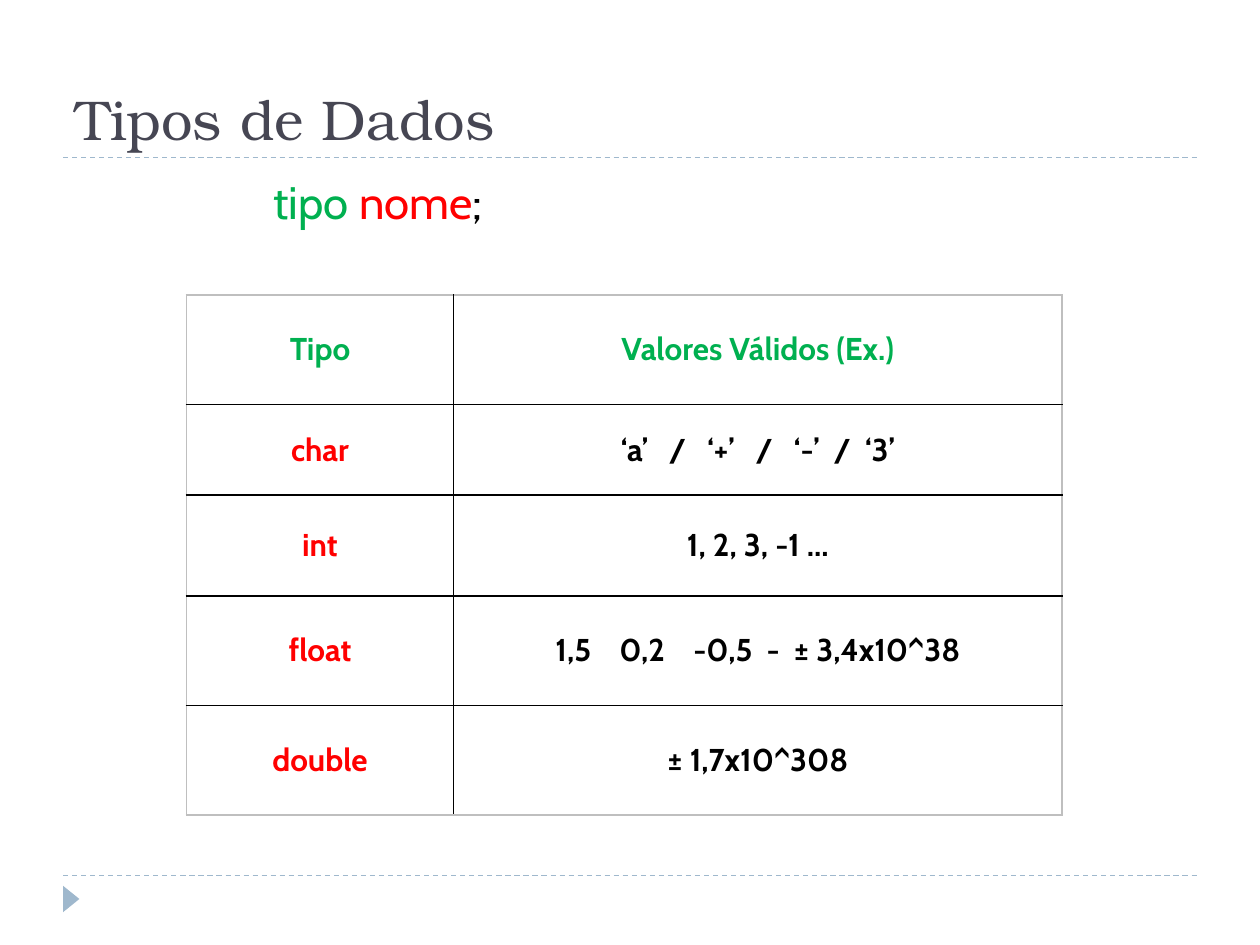
from dataclasses import dataclass

from lxml import etree
from pptx import Presentation
from pptx.dml.color import RGBColor
from pptx.enum.dml import MSO_LINE
from pptx.enum.shapes import MSO_CONNECTOR, MSO_SHAPE
from pptx.enum.text import MSO_ANCHOR, PP_ALIGN
from pptx.oxml.ns import qn
from pptx.util import Inches, Pt

STRAIGHT = MSO_CONNECTOR.STRAIGHT
TRIANGLE = MSO_SHAPE.ISOSCELES_TRIANGLE
DASH = MSO_LINE.DASH
TOP, MIDDLE, BOTTOM = MSO_ANCHOR.TOP, MSO_ANCHOR.MIDDLE, MSO_ANCHOR.BOTTOM
CENTER = PP_ALIGN.CENTER


@dataclass(frozen=True)
class Theme:
    serif: str = "TeX Gyre Bonum"
    sans: str = "Cabin"
    title: str = "464653"
    accent: str = "9FB8CD"
    green: str = "00B050"
    red: str = "FF0000"
    black: str = "000000"
    edge: str = "BFBFBF"
    big: int = 32
    body: int = 26
    cell: int = 18


@dataclass(frozen=True)
class Part:
    text: str
    color: str
    gap: int = 0  # extra points of tracking, widens a lone space


@dataclass(frozen=True)
class Row:
    height: float
    label: Part
    value: list[Part]


THEME = Theme()
COLS = (2.12, 4.83)


def spread(*items: str | int) -> list[Part]:
    """Black text; a number is a space widened by that many points."""
    return [Part(" ", THEME.black, item) if isinstance(item, int)
            else Part(item, THEME.black) for item in items]


ROWS = [
    Row(0.87, Part("Tipo", THEME.green),
        [Part("Valores Válidos (Ex.)", THEME.green)]),
    Row(0.72, Part("char", THEME.red),
        spread("‘a’", 8, "/", 8, "‘+’", 8, "/", 8, "‘-’", 4, "/", 4, "‘3’")),
    Row(0.8, Part("int", THEME.red), spread("1, 2, 3, -1 ...")),
    Row(0.87, Part("float", THEME.red),
        spread("1,5", 12, "0,2", 12, "-0,5", 4, "-", 4, "± 3,4x10^38")),
    Row(0.87, Part("double", THEME.red), spread("± 1,7x10^308")),
]


def write(frame, parts: list[Part], face: str, size: int,
          bold: bool = False) -> None:
    para = frame.paragraphs[0]
    para.font.name, para.font.size, para.font.bold = face, Pt(size), bold
    for part in parts:
        run = para.add_run()
        run.text = part.text
        run.font.name, run.font.size, run.font.bold = face, Pt(size), bold
        run.font.color.rgb = RGBColor.from_string(part.color)
        if part.gap:
            run.font._element.set("spc", str(part.gap * 100))


def add_text(slide, box: tuple[float, ...], parts: list[Part], face: str,
             size: int, anchor=TOP, inset: float = 0.1) -> None:
    frame = slide.shapes.add_textbox(*map(Inches, box)).text_frame
    frame.word_wrap = True
    frame.vertical_anchor = anchor
    frame.margin_left = Inches(inset)
    write(frame, parts, face, size)


def add_rule(slide, top: float) -> None:
    rule = slide.shapes.add_connector(
        STRAIGHT, Inches(0.5), Inches(top), Inches(9.5), Inches(top))
    rule.line.color.rgb = RGBColor.from_string(THEME.accent)
    rule.line.width = Pt(0.75)
    rule.line.dash_style = DASH
    etree.SubElement(rule._element.spPr, qn("a:effectLst"))


def set_edges(cell, colors: dict[str, str]) -> None:
    props = cell._tc.get_or_add_tcPr()
    for spot, (side, color) in enumerate(colors.items()):
        line = etree.Element(qn(f"a:{side}"), w=str(Pt(1)))
        fill = etree.SubElement(line, qn("a:solidFill"))
        etree.SubElement(fill, qn("a:srgbClr"), val=color)
        props.insert(spot, line)


def add_grid(slide, rows: list[Row]) -> None:
    grid = slide.shapes.add_table(
        len(rows), len(COLS), Inches(1.48), Inches(2.34),
        Inches(sum(COLS)), Inches(sum(row.height for row in rows))).table
    for col, width in zip(grid.columns, COLS):
        col.width = Inches(width)
    for r, row in enumerate(rows):
        grid.rows[r].height = Inches(row.height)
        for c, parts in enumerate(([row.label], row.value)):
            cell = grid.cell(r, c)
            cell.vertical_anchor = MIDDLE
            cell.fill.background()
            write(cell.text_frame, parts, THEME.sans, THEME.cell, True)
            cell.text_frame.paragraphs[0].alignment = CENTER
            outer = {"lnL": c == 0, "lnR": c == len(COLS) - 1,
                     "lnT": r == 0, "lnB": r == len(rows) - 1}
            set_edges(cell, {side: THEME.edge if out else THEME.black
                             for side, out in outer.items()})


def main() -> None:
    deck = Presentation()
    deck.slide_width, deck.slide_height = Inches(10), Inches(7.5)
    slide = deck.slides.add_slide(deck.slide_layouts[6])

    # Frame: dashed rules and corner marker
    for top in (6.95, 1.25):
        add_rule(slide, top)
    mark = slide.shapes.add_shape(
        TRIANGLE, Inches(0.46), Inches(7.07), Inches(0.21), Inches(0.13))
    mark.rotation = 90
    mark.shadow.inherit = False
    mark.fill.solid()
    mark.fill.fore_color.rgb = RGBColor.from_string(THEME.accent)
    mark.line.fill.background()

    # Title and declaration syntax
    add_text(slide, (0.5, 0.17, 9, 1.08), [Part("Tipos de Dados", THEME.title)],
             THEME.serif, THEME.big, BOTTOM)
    add_text(slide, (0.5, 1.33, 9, 5.4),
             [Part("tipo ", THEME.green), Part("nome", THEME.red),
              Part(";", THEME.black)],
             THEME.sans, THEME.body, inset=1.67)

    # Table of types
    add_grid(slide, ROWS)
    deck.save("out.pptx")


if __name__ == "__main__":
    main()
